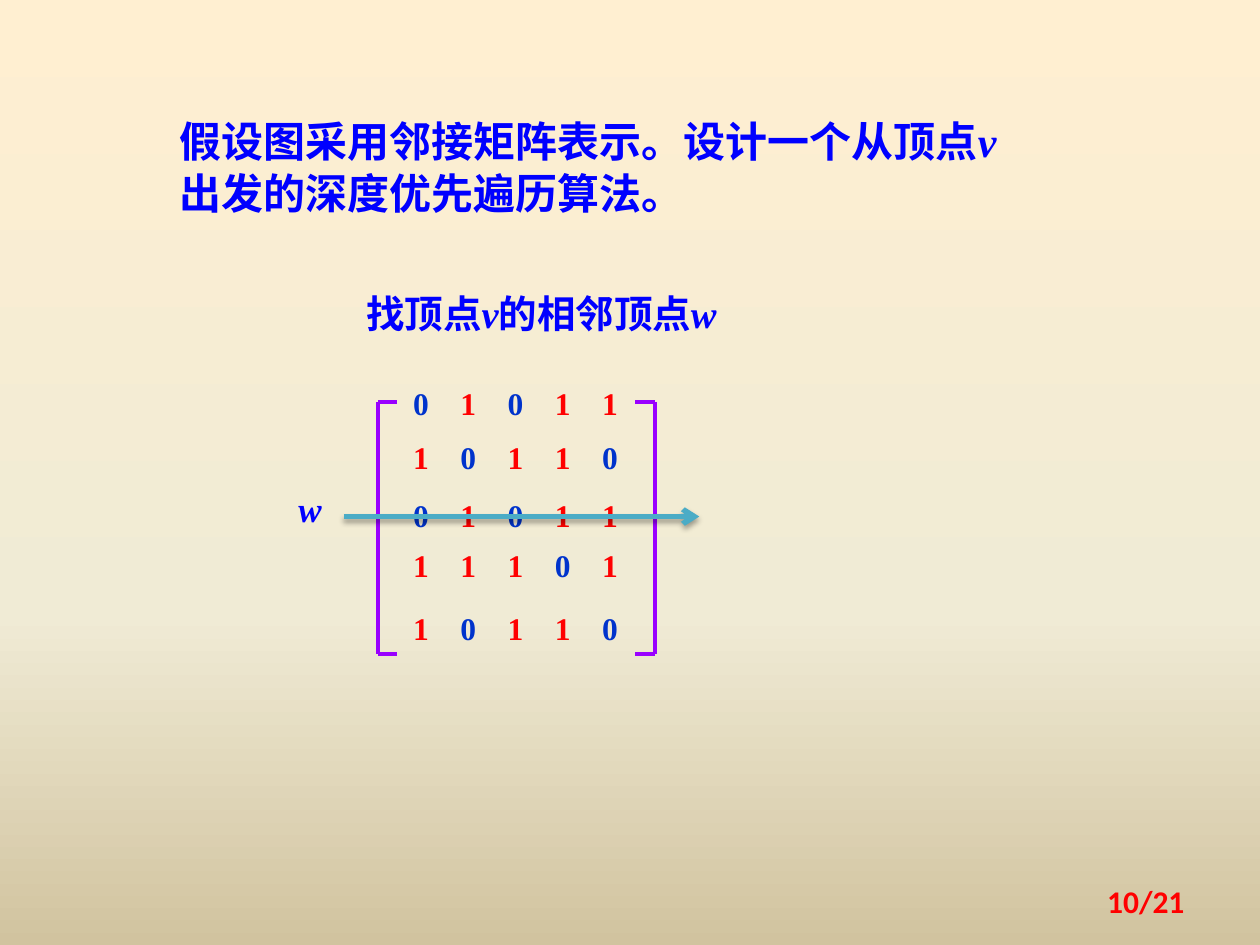
import copy
import pptx
import pptx.util
import pptx.dml.color
import pptx.enum.shapes
import pptx.enum.text
import pptx.oxml
import pptx.oxml.ns

Inches = pptx.util.Inches
Pt = pptx.util.Pt
NS = 'xmlns:a="http://schemas.openxmlformats.org/drawingml/2006/main"'
HUE = {"text": "0000FF", "zero": "0033CC", "one": "FF0000", "edge": "9900FF", "arrow": "4BACC6",
       "top": "FFEFD1", "mid": "F0EBD5", "base": "D1C39F"}


def add_text(shapes, left, top, width, height, runs, size, lead, font="Times New Roman"):
    box = shapes.add_textbox(Inches(left), Inches(top), Inches(width), Inches(height))
    frame = box.text_frame
    frame.word_wrap = True
    frame.auto_size = pptx.enum.text.MSO_AUTO_SIZE.SHAPE_TO_FIT_TEXT
    para = frame.paragraphs[0]
    para.line_spacing = lead
    for text, hue, slant in runs:
        run = para.add_run()
        run.text = text
        run.font.name = font
        run.font.size = Pt(size)
        run.font.bold = True
        run.font.italic = slant
        run.font.color.rgb = pptx.dml.color.RGBColor.from_string(HUE[hue])
    return frame


def add_line(shapes, x1, y1, x2, y2, hue, width):
    line = shapes.add_connector(pptx.enum.shapes.MSO_CONNECTOR.STRAIGHT,
                                Inches(x1), Inches(y1), Inches(x2), Inches(y2))
    line.line.color.rgb = pptx.dml.color.RGBColor.from_string(HUE[hue])
    line.line.width = Pt(width)
    props = line._element.spPr
    props.append(pptx.oxml.parse_xml(f"<a:effectLst {NS}/>"))
    return props


deck = pptx.Presentation()
deck.slide_width = Inches(10)
deck.slide_height = Inches(7.5)
slide = deck.slides.add_slide(deck.slide_layouts[6])
shapes = slide.shapes

fill = slide.background.fill
fill.gradient()
fill.gradient_angle = 270
stops = slide._element.find(".//" + pptx.oxml.ns.qn("a:gsLst"))
stops.append(copy.deepcopy(stops[-1]))
for stop, (spot, hue) in zip(fill.gradient_stops, [(0, "top"), (0.65, "mid"), (1, "base")]):
    stop.position = spot
    stop.color.rgb = pptx.dml.color.RGBColor.from_string(HUE[hue])

add_text(shapes, 1.33, 0.85, 6.8, 0.94,
         [("假设图采用邻接矩阵表示。设计一个从顶点", "text", False), ("v", "text", True),
          ("出发的深度优先遍历算法。", "text", False)], 24, Pt(30))

matrix = shapes.add_group_shape().shapes
rows = [(3.02, "01011"), (3.45, "10110"), (3.91, "01011"), (4.3, "11101"), (4.8, "10110")]
for top, bits in rows:
    runs = [("\t" * (col > 0) + bit, "one" if bit == "1" else "zero", False)
            for col, bit in enumerate(bits)]
    frame = add_text(matrix, 3.28, top, 1.97, 0.33, runs, 18, 1.1)
    frame.margin_left = frame.margin_right = frame.margin_top = frame.margin_bottom = 0
    tabs = "".join(f'<a:tab pos="{Inches(0.375 * col)}" algn="l"/>' for col in range(1, 5))
    frame.paragraphs[0]._p.get_or_add_pPr().append(
        pptx.oxml.parse_xml(f"<a:tabLst {NS}>{tabs}</a:tabLst>"))

for side, start, end in [(3, 3, 3.15), (5.2, 5.04, 5.2)]:
    add_line(matrix, side, 3.19, side, 5.19, "edge", 2.25)
    for level in (3.19, 5.19):
        add_line(matrix, start, level, end, level, "edge", 2.25)

add_text(shapes, 2.27, 3.85, 0.47, 0.41, [("w", "text", True)], 20, Pt(22))

props = add_line(shapes, 2.73, 4.1, 5.55, 4.1, "arrow", 3)
props.find(pptx.oxml.ns.qn("a:ln")).append(pptx.oxml.parse_xml(f'<a:tailEnd {NS} type="arrow"/>'))
props.find(pptx.oxml.ns.qn("a:effectLst")).append(pptx.oxml.parse_xml(
    f'<a:outerShdw {NS} blurRad="{Pt(3.1)}" dist="{Pt(1.8)}" dir="5400000" rotWithShape="0">'
    '<a:srgbClr val="000000"><a:alpha val="35000"/></a:srgbClr></a:outerShdw>'))

add_text(shapes, 2.81, 2.2, 3.05, 0.49,
         [("找顶点", "text", False), ("v", "text", True),
          ("的相邻顶点", "text", False), ("w", "text", True)], 22, Pt(30))

page = add_text(shapes, 7.17, 6.95, 2.33, 0.4, [("10/21", "one", False)], 18, 1.0, "Calibri")
page.auto_size = pptx.enum.text.MSO_AUTO_SIZE.NONE
page.vertical_anchor = pptx.enum.text.MSO_ANCHOR.MIDDLE
page.paragraphs[0].alignment = pptx.enum.text.PP_ALIGN.RIGHT

deck.save("out.pptx")
